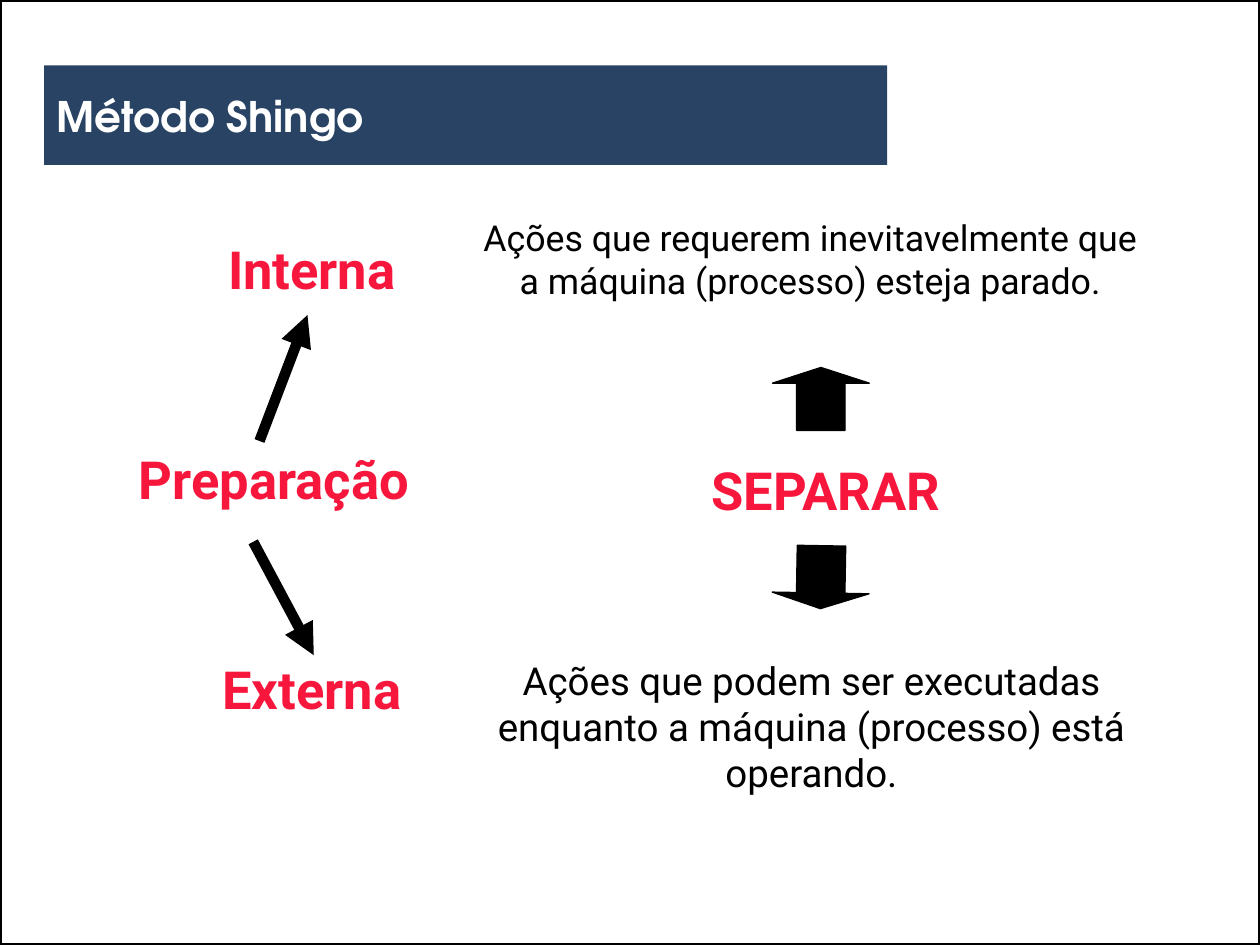
"""Build the Shingo method slide on internal and external setup."""
from dataclasses import dataclass

import pptx
import pptx.dml.color
import pptx.enum.shapes
import pptx.enum.text
import pptx.oxml
import pptx.oxml.ns
import pptx.presentation
import pptx.shapes.autoshape
import pptx.slide
import pptx.text.text
import pptx.util

Pt = pptx.util.Pt
RGBColor = pptx.dml.color.RGBColor
MSO_SHAPE = pptx.enum.shapes.MSO_SHAPE
PP_ALIGN = pptx.enum.text.PP_ALIGN
MSO_ANCHOR = pptx.enum.text.MSO_ANCHOR

BLACK = RGBColor(0x00, 0x00, 0x00)
WHITE = RGBColor(0xFF, 0xFF, 0xFF)
RED = RGBColor(0xF7, 0x17, 0x3C)
NAVY = RGBColor(0x25, 0x40, 0x61)

SLIDE_WIDTH, SLIDE_HEIGHT = 720, 540
KEYWORD = {"name": "Roboto", "size": Pt(30), "bold": True}
KEYWORD_SIZE = (193.7, 36)
HEADING = {"name": "TeX Gyre Adventor", "size": Pt(24), "bold": True}


@dataclass(frozen=True)
class Label:
    text: str
    left: float
    top: float
    width: float
    height: float
    style: dict
    color: RGBColor


@dataclass(frozen=True)
class Branch:
    start: tuple[float, float]
    end: tuple[float, float]


@dataclass(frozen=True)
class BlockArrow:
    top: float
    rotation: float


LABELS = [
    Label("Ações que requerem inevitavelmente que a máquina (processo) esteja parado.",
          268.6, 120, 388.8, 53.3, {"name": "Roboto", "size": Pt(20.4)}, BLACK),
    Label("Ações que podem ser executadas enquanto a máquina (processo) está operando.",
          270, 372, 387.4, 59.8, {"name": "Roboto", "size": Pt(22)}, BLACK),
    Label("SEPARAR", 375, 258, *KEYWORD_SIZE, KEYWORD, RED),
    Label("Preparação", 59.8, 252, *KEYWORD_SIZE, KEYWORD, RED),
    Label("Externa", 81.4, 372, *KEYWORD_SIZE, KEYWORD, RED),
    Label("Interna", 81.4, 132, *KEYWORD_SIZE, KEYWORD, RED),
]
BRANCHES = [
    Branch((148.3, 252), (175.7, 180)),
    Branch((144.7, 309.6), (179.3, 374.4)),
]
BLOCK_ARROWS = [BlockArrow(210, 0), BlockArrow(311.8, 181)]


def format_font(font: pptx.text.text.Font, style: dict, color: RGBColor) -> None:
    for attribute, value in style.items():
        setattr(font, attribute, value)
    font.color.rgb = color


def draw_frame(slide: pptx.slide.Slide) -> None:
    frame = slide.shapes.add_shape(
        MSO_SHAPE.RECTANGLE, 0, 0, Pt(SLIDE_WIDTH), Pt(SLIDE_HEIGHT))
    frame.shadow.inherit = False
    frame.fill.background()
    frame.line.color.rgb = BLACK
    frame.line.width = Pt(2)


def draw_label(slide: pptx.slide.Slide, label: Label) -> None:
    box = slide.shapes.add_textbox(
        Pt(label.left), Pt(label.top), Pt(label.width), Pt(label.height))
    box.text_frame.word_wrap = True
    paragraph = box.text_frame.paragraphs[0]
    paragraph.alignment = PP_ALIGN.CENTER
    run = paragraph.add_run()
    run.text = label.text
    format_font(run.font, label.style, label.color)


def draw_block_arrow(slide: pptx.slide.Slide, arrow: BlockArrow) -> None:
    block = slide.shapes.add_shape(
        MSO_SHAPE.UP_ARROW, Pt(441.4), Pt(arrow.top), Pt(55.4), Pt(36))
    block.adjustments[0] = 0.5
    block.adjustments[1] = 0.25
    block.rotation = arrow.rotation
    block.shadow.inherit = False
    block.fill.solid()
    block.fill.fore_color.rgb = BLACK
    block.line.color.rgb = BLACK
    block.line.width = Pt(0.75)


def draw_branch(slide: pptx.slide.Slide, branch: Branch) -> None:
    connector = slide.shapes.add_connector(
        pptx.enum.shapes.MSO_CONNECTOR.STRAIGHT,
        *(Pt(length) for length in branch.start + branch.end))
    connector.line.color.rgb = BLACK
    connector.line.width = Pt(6)
    properties = connector._element.spPr
    head = pptx.oxml.parse_xml(
        f'<a:tailEnd {pptx.oxml.ns.nsdecls("a")} type="triangle"/>')
    properties.find(pptx.oxml.ns.qn("a:ln")).append(head)
    properties.append(pptx.oxml.parse_xml(
        f'<a:effectLst {pptx.oxml.ns.nsdecls("a")}/>'))


def draw_heading(slide: pptx.slide.Slide) -> None:
    heading = slide.shapes.title
    placement = {"left": 25.2, "top": 37.4, "width": 481.7, "height": 56.9}
    for attribute, length in placement.items():
        setattr(heading, attribute, Pt(length))
    heading._element.spPr.append(pptx.oxml.parse_xml(
        f'<a:prstGeom {pptx.oxml.ns.nsdecls("a")} prst="roundRect"><a:avLst>'
        '<a:gd name="adj" fmla="val 5700"/></a:avLst></a:prstGeom>'))
    heading.fill.solid()
    heading.fill.fore_color.rgb = NAVY
    tint = heading._element.spPr.find(".//" + pptx.oxml.ns.qn("a:srgbClr"))
    tint.append(pptx.oxml.parse_xml(
        f'<a:alpha {pptx.oxml.ns.nsdecls("a")} val="98000"/>'))
    heading.line.fill.background()
    frame_format = {
        "text": "Método Shingo",
        "word_wrap": True,
        "auto_size": pptx.enum.text.MSO_AUTO_SIZE.NONE,
        "vertical_anchor": MSO_ANCHOR.MIDDLE,
    }
    for attribute, value in frame_format.items():
        setattr(heading.text_frame, attribute, value)
    paragraph = heading.text_frame.paragraphs[0]
    paragraph.alignment = PP_ALIGN.LEFT
    format_font(paragraph.runs[0].font, HEADING, WHITE)


def main() -> None:
    presentation = pptx.Presentation()
    presentation.slide_width = Pt(SLIDE_WIDTH)
    presentation.slide_height = Pt(SLIDE_HEIGHT)
    slide = presentation.slides.add_slide(
        presentation.slide_layouts.get_by_name("Title Only"))
    draw_frame(slide)
    for label in LABELS:
        draw_label(slide, label)
    for arrow in BLOCK_ARROWS:
        draw_block_arrow(slide, arrow)
    for branch in BRANCHES:
        draw_branch(slide, branch)
    draw_heading(slide)
    presentation.save("out.pptx")


if __name__ == "__main__":
    main()
